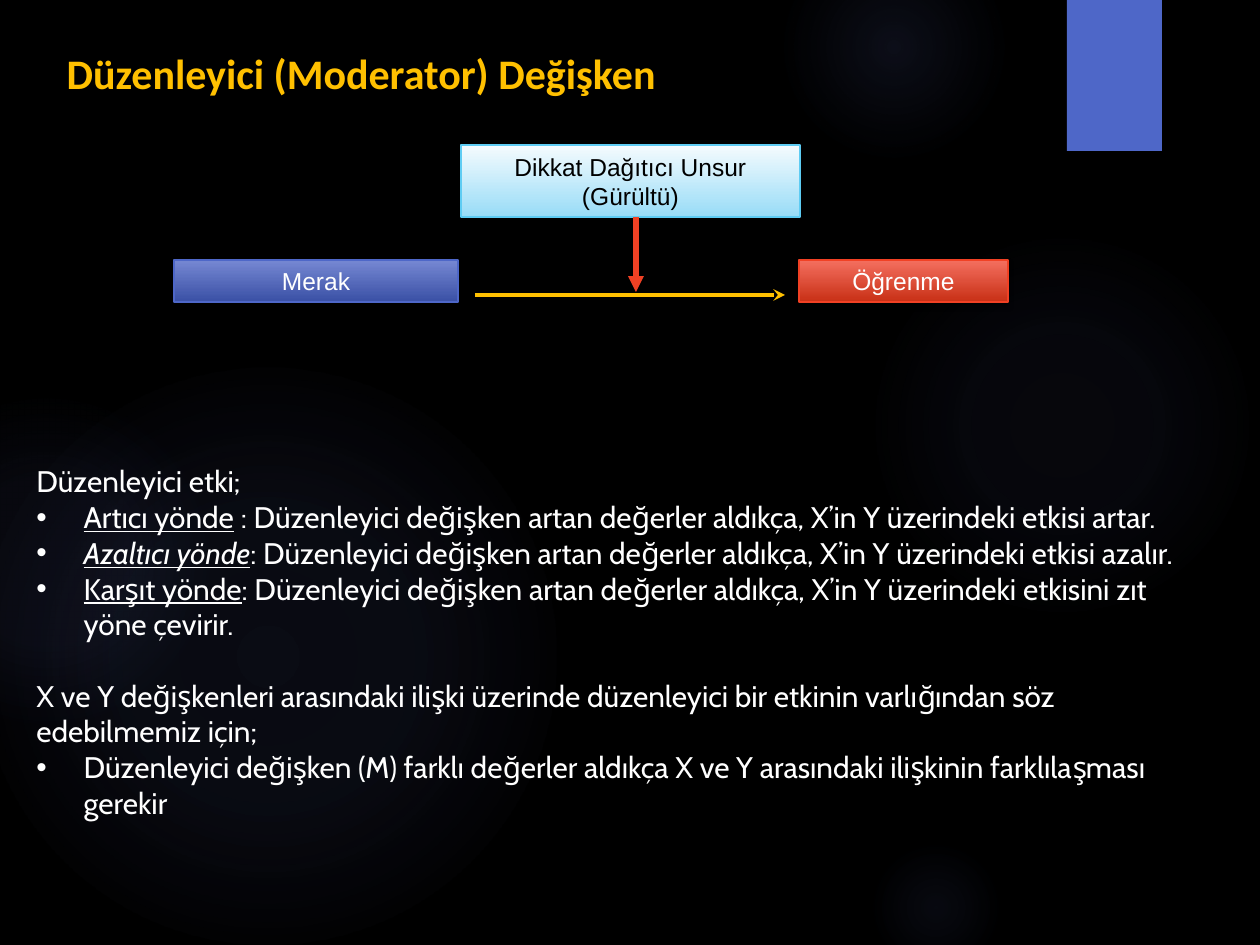
import pptx
import pptx.util
import pptx.dml.color
import pptx.enum.shapes
import pptx.enum.text
import pptx.oxml
import pptx.oxml.ns

SCALE = 914400 / 126
COLORS = {
    "black": "000000", "white": "FFFFFF", "gold": "FFC000", "glow": "5968B0",
    "blue": "4E67C8", "blue_top": "7688D3", "blue_end": "3A50A5",
    "red": "F14124", "red_top": "F46F5F", "red_end": "C83016",
    "sky": "5ECCF3", "sky_top": "F5FBFE", "sky_end": "98DCF7",
}
SHAPE = pptx.enum.shapes.MSO_SHAPE
ALIGN = pptx.enum.text.PP_ALIGN
ANCHOR = pptx.enum.text.MSO_ANCHOR
Pt = pptx.util.Pt


def px(n):
    return pptx.util.Emu(round(n * SCALE))


def rgb(name):
    return pptx.dml.color.RGBColor.from_string(COLORS[name])


def node(tag, inner="", attrs=""):
    """Make an element of the drawing namespace."""
    space = pptx.oxml.ns.nsdecls("a")
    return pptx.oxml.parse_xml(f"<a:{tag} {space} {attrs}>{inner}</a:{tag}>")


class Deck:
    def __init__(self):
        self.show = pptx.Presentation()
        self.show.slide_width = px(1260)
        self.show.slide_height = px(945)
        self.slide = self.show.slides.add_slide(self.show.slide_layouts[5])
        fill = self.slide.background.fill
        fill.solid()
        fill.fore_color.rgb = rgb("black")

    def style(self, font, size, color, face, bold=False):
        font.name = face
        font.size = Pt(size)
        font.bold = bold
        font.color.rgb = rgb(color)

    def title(self, text, box):
        shape = self.slide.shapes.title
        shape.left, shape.top, shape.width, shape.height = map(px, box)
        frame = shape.text_frame
        frame.text = text
        frame.vertical_anchor = ANCHOR.MIDDLE
        frame.auto_size = pptx.enum.text.MSO_AUTO_SIZE.NONE
        para = frame.paragraphs[0]
        para.alignment = ALIGN.LEFT
        self.style(para.runs[0].font, 24, "gold", "Calibri", True)

    def shape(self, kind, box):
        shape = self.slide.shapes.add_shape(kind, *map(px, box))
        shape.shadow.inherit = False
        shape.line.fill.background()
        return shape

    def blend(self, shape, stops, path):
        """Fill with a gradient of (position, colour, opacity) stops in percent."""
        marks = "".join(
            f'<a:gs pos="{pos * 1000}"><a:srgbClr val="{COLORS[color]}">'
            f'<a:alpha val="{alpha * 1000}"/></a:srgbClr></a:gs>'
            for pos, color, alpha in stops)
        shape.fill.background()
        props = shape.element.spPr
        old = props.find(pptx.oxml.ns.qn("a:noFill"))
        props.replace(old, node("gradFill", f"<a:gsLst>{marks}</a:gsLst>{path}"))

    def shade(self, shape):
        """Put a soft shadow below."""
        effect = shape.element.spPr.find(pptx.oxml.ns.qn("a:effectLst"))
        effect.append(node(
            "outerShdw",
            f'<a:srgbClr val="{COLORS["black"]}"><a:alpha val="45000"/></a:srgbClr>',
            'blurRad="38100" dist="25400" dir="5400000" rotWithShape="0"'))

    def glow(self, left, top, size, stops):
        shape = self.shape(SHAPE.OVAL, (left, top, size, size))
        centre = ('<a:path path="circle"><a:fillToRect l="50000" t="50000" '
                  'r="50000" b="50000"/></a:path>')
        self.blend(shape, [(pos, "glow", alpha) for pos, alpha in stops], centre)

    def bar(self, box, color):
        shape = self.shape(SHAPE.RECTANGLE, box)
        shape.fill.solid()
        shape.fill.fore_color.rgb = rgb(color)
        self.shade(shape)

    def box(self, text, box, hue, color="white", shade=True):
        shape = self.shape(SHAPE.RECTANGLE, box)
        self.blend(shape, [(0, hue + "_top", 100), (100, hue + "_end", 100)],
                   '<a:lin ang="5400000" scaled="0"/>')
        shape.line.color.rgb = rgb(hue)
        shape.line.width = Pt(0.75)
        if shade:
            self.shade(shape)
        frame = shape.text_frame
        frame.word_wrap = True
        frame.text = text
        para = frame.paragraphs[0]
        para.alignment = ALIGN.CENTER
        self.style(para.runs[0].font, 14, color, "Arial")

    def arrow(self, start, end, color, width, head, shade=False):
        line = self.slide.shapes.add_connector(
            pptx.enum.shapes.MSO_CONNECTOR.STRAIGHT, *map(px, start + end))
        line.line.color.rgb = rgb(color)
        line.line.width = Pt(width)
        props = line.element.spPr
        props.find(pptx.oxml.ns.qn("a:ln")).append(
            node("tailEnd", attrs=f'type="{head}"'))
        props.append(node("effectLst"))
        if shade:
            self.shade(line)

    def body(self, rows, box):
        """Write rows of (bullet, space before, [(text, marks)])."""
        frame = self.slide.shapes.add_textbox(*map(px, box)).text_frame
        frame.word_wrap = True
        for i, (bullet, gap, parts) in enumerate(rows):
            para = frame.paragraphs[0] if i == 0 else frame.add_paragraph()
            if gap:
                para.space_before = Pt(gap)
            if bullet:
                props = para._p.get_or_add_pPr()
                props.set("marL", "342900")
                props.set("indent", "-342900")
                props.append(node("buFont", attrs='typeface="Arial"'))
                props.append(node("buChar", attrs='char="•"'))
            for text, marks in parts:
                run = para.add_run()
                run.text = text
                self.style(run.font, 17, "white", "Cabin")
                run.font.underline = "u" in marks
                run.font.italic = "i" in marks


GLOWS = [
    (868, 231, 388, [(0, 7), (36, 6), (69, 0)]),
    (784, -63, 220, [(0, 14), (36, 7), (73, 0)]),
    (868, 840, 136, [(0, 9), (36, 5), (66, 0)]),
    (-21, 368, 577, [(0, 11), (36, 10), (75, 0)]),
    (-116, 399, 325, [(0, 8), (36, 8), (72, 0)]),
]
RISE = "Düzenleyici değişken artan değerler aldıkça, X’in Y üzerindeki "
ROWS = [
    (False, 0, [("Düzenleyici etki;", "")]),
    (True, 0, [("Artıcı yönde", "u"), (" : " + RISE + "etkisi artar.", "")]),
    (True, 0, [("Azaltıcı yönde", "ui"), (": " + RISE + "etkisi azalır.", "")]),
    (True, 0, [("Karşıt yönde", "u"),
               (": " + RISE + "etkisini zıt yöne çevirir.", "")]),
    (False, 20.4, [("X ve Y değişkenleri arasındaki ilişki üzerinde düzenleyici "
                    "bir etkinin varlığından söz edebilmemiz için;", "")]),
    (True, 0, [("Düzenleyici değişken (M) farklı değerler aldıkça X ve Y "
                "arasındaki ilişkinin farklılaşması gerekir", "")]),
]


def main():
    deck = Deck()
    for glow in GLOWS:
        deck.glow(*glow)
    deck.bar((1067, 0, 95, 151), "blue")
    deck.title("Düzenleyici (Moderator) Değişken", (54, 37, 973, 72))
    deck.body(ROWS, (24, 457, 1186, 373))
    deck.box("Merak", (174, 260, 284, 42), "blue")
    deck.box("Öğrenme", (799, 260, 209, 42), "red")
    deck.box("Dikkat Dağıtıcı Unsur (Gürültü)", (461, 145, 339, 72), "sky",
             "black", False)
    deck.arrow((475, 295), (785, 295), "gold", 2.25, "stealth", True)
    deck.arrow((636, 217), (636, 292), "red", 3, "triangle")
    deck.show.save("out.pptx")


if __name__ == "__main__":
    main()
